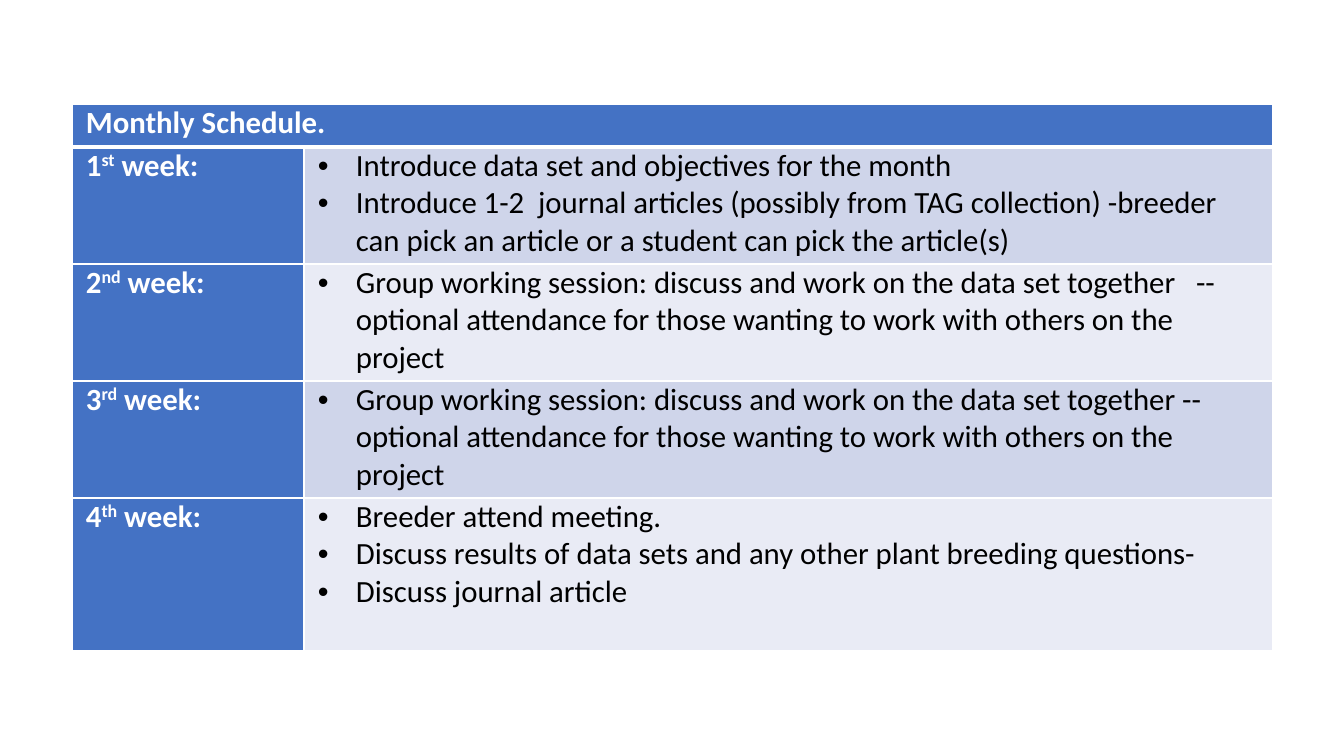
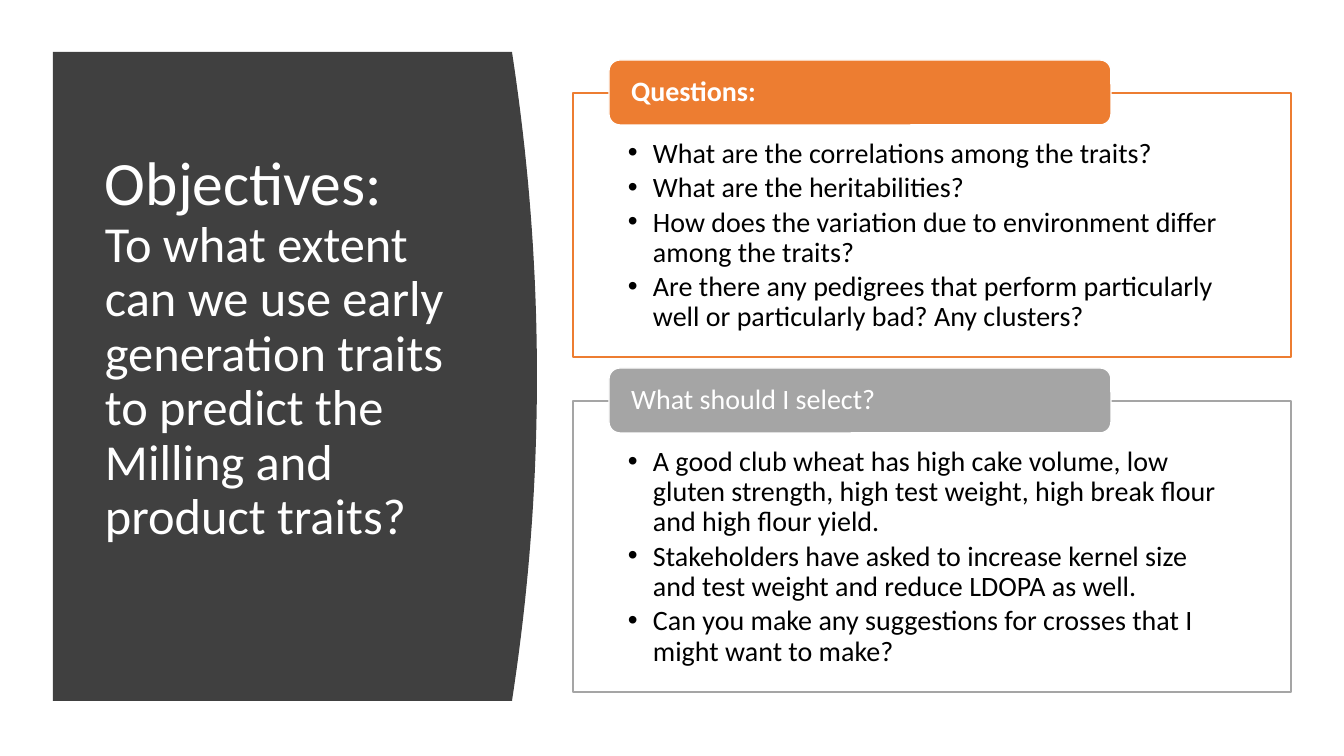
from lxml.etree import SubElement
from pptx import Presentation
from pptx.dml.color import RGBColor as RGB
from pptx.enum.shapes import MSO_SHAPE as Kind
from pptx.enum.text import MSO_ANCHOR as Anchor, PP_ALIGN as Align
from pptx.oxml import parse_xml
from pptx.oxml.ns import nsdecls, qn
from pptx.util import Emu, Pt

WHITE = RGB(0xFF, 0xFF, 0xFF)
BLACK = RGB(0, 0, 0)
BLUE = RGB(0x44, 0x72, 0xC4)
BANDS = RGB(0xCF, 0xD5, 0xEA), RGB(0xE9, 0xEB, 0xF5)
DARK = RGB(0x40, 0x40, 0x40)
ORANGE = RGB(0xED, 0x7D, 0x31)
GRAY = RGB(0xA5, 0xA5, 0xA5)
FONT = "Calibri"


def px(n):
    return Emu(round(n * 914400 / 100.8))


def write(frame, paras, size=20, color=BLACK, bold=False, bullet=0, lead=None, after=0):
    """Each paragraph is a string or a list of (text, size or "super") runs."""
    frame.word_wrap = True
    for i, runs in enumerate(paras):
        para = frame.add_paragraph() if i else frame.paragraphs[0]
        para.alignment = Align.LEFT
        para.space_after = Pt(after)
        if lead:
            para.line_spacing = lead
        if bullet:
            ppr = para._p.get_or_add_pPr()
            ppr.set("marL", str(px(bullet)))
            ppr.set("indent", str(-px(bullet)))
            SubElement(ppr, qn("a:buFont")).set("typeface", "Arial")
            SubElement(ppr, qn("a:buChar")).set("char", "•")
        for text, style in [(runs, size)] if isinstance(runs, str) else runs:
            run = para.add_run()
            run.text = text
            font = run.font
            font.name, font.bold = FONT, bold
            font.color.rgb = color
            font.size = Pt(size if style == "super" else style)
            if style == "super":
                font._element.set("baseline", "30000")


class Deck:
    def __init__(self):
        self.prs = Presentation()
        self.prs.slide_width, self.prs.slide_height = px(1344), px(756)

    def page(self):
        self.shapes = self.prs.slides.add_slide(self.prs.slide_layouts[6]).shapes

    def paint(self, shape, fill, line=None):
        shape.shadow.inherit = False
        shape.fill.solid()
        shape.fill.fore_color.rgb = fill
        if line is None:
            shape.line.fill.background()
        else:
            shape.line.color.rgb = line
            shape.line.width = Pt(1)

    def pad(self, frame, left, top, right, bottom, anchor=Anchor.TOP):
        frame.margin_left, frame.margin_top = px(left), px(top)
        frame.margin_right, frame.margin_bottom = px(right), px(bottom)
        frame.vertical_anchor = anchor

    def box(self, kind, spot, fill, line):
        shape = self.shapes.add_shape(kind, *map(px, spot))
        self.paint(shape, fill, line)
        return shape

    def label(self, spot, paras, **fmt):
        frame = self.shapes.add_textbox(*map(px, spot)).text_frame
        self.pad(frame, 10, 5, 10, 5, Anchor.MIDDLE)
        write(frame, paras, **fmt)

    def panel(self, x, y, w, h, bulge):
        """A block whose right side bows out as a parabola."""
        steps = [i / 20 - 1 for i in range(41)]
        curve = [(px(x + w + bulge * (1 - t * t)), px(y + h * (1 + t) / 2)) for t in steps]
        path = self.shapes.build_freeform(px(x), px(y))
        path.add_line_segments(curve + [(px(x), px(y + h))])
        self.paint(path.convert_to_shape(), DARK)

    def card(self, top, high, color, head, points, bold=False):
        frame = self.box(Kind.RECTANGLE, (573, top, 718, high), WHITE, color)
        tint = frame._element.spPr.find(qn("a:solidFill"))[0]
        SubElement(tint, qn("a:alpha")).set("val", "90000")
        self.pad(frame.text_frame, 55, 46, 55, 16)
        write(frame.text_frame, points, bullet=25, lead=0.9, after=3)
        tab = self.box(Kind.ROUNDED_RECTANGLE, (609, top - 33, 502, 65), color, WHITE)
        self.pad(tab.text_frame, 19, 0, 19, 0, Anchor.MIDDLE)
        write(tab.text_frame, [head], color=WHITE, bold=bold, lead=0.9)

    def cell(self, cell, fill, top=1, bottom=1):
        self.pad(cell, 14, 0, 14, 0)
        cell.fill.solid()
        cell.fill.fore_color.rgb = fill
        sides = ("L", 1), ("R", 1), ("T", top), ("B", bottom)
        for i, (side, wide) in enumerate(sides):
            cell._tc.tcPr.insert(i, parse_xml(
                f'<a:ln{side} {nsdecls("a")} w="{Pt(wide)}"><a:solidFill>'
                f'<a:srgbClr val="{WHITE}"/></a:solidFill></a:ln{side}>'))

    def plan(self, x, y, cols, rows, title, weeks):
        spot = map(px, (x, y, sum(cols), sum(rows)))
        grid = self.shapes.add_table(len(rows), len(cols), *spot).table
        grid.first_row = grid.horz_banding = False
        for col, wide in zip(grid.columns, cols):
            col.width = px(wide)
        for row, high in zip(grid.rows, rows):
            row.height = px(high)
        # Title row
        for c in range(len(cols)):
            self.cell(grid.cell(0, c), BLUE, bottom=3)
        grid.cell(0, 0).merge(grid.cell(0, len(cols) - 1))
        write(grid.cell(0, 0).text_frame, [title], size=22, color=WHITE, bold=True)
        # Week rows
        for r, (suffix, tasks) in enumerate(weeks, 1):
            name, body = grid.cell(r, 0), grid.cell(r, 1)
            top = 3 if r == 1 else 1
            self.cell(name, BLUE, top)
            self.cell(body, BANDS[(r - 1) % 2], top)
            week = [(str(r), 22), (suffix, "super"), (" week:", 22)]
            write(name.text_frame, [week], size=22, color=WHITE, bold=True)
            write(body.text_frame, tasks, size=22, bullet=38)


def main():
    deck = Deck()

    # Monthly schedule
    deck.page()
    work = ("Group working session: discuss and work on the data set together{}-- "
            "optional attendance for those wanting to work with others on the project")
    deck.plan(72, 104, (232, 969), (43, 117, 117, 117, 153), "Monthly Schedule.", [
        ("st", ["Introduce data set and objectives for the month",
                "Introduce 1-2  journal articles (possibly from TAG collection) -breeder "
                "can pick an article or a student can pick the article(s)"]),
        ("nd", [work.format("   ")]),
        ("rd", [work.format(" ")]),
        ("th", ["Breeder attend meeting.",
                "Discuss results of data sets and any other plant breeding questions-",
                "Discuss journal article"]),
    ])

    # Objectives
    deck.page()
    deck.panel(53, 52, 459, 649, 25)
    deck.label((95, 85, 377, 528), [
        [("Objectives:", 44)],
        "To what extent can we use early generation traits to predict the "
        "Milling and product traits?",
    ], size=36, color=WHITE, lead=0.9)
    deck.card(93, 264, ORANGE, "Questions:", [
        "What are the correlations among the traits?",
        "What are the heritabilities?",
        "How does the variation due to environment differ among the traits?",
        "Are there any pedigrees that perform particularly well or particularly bad? "
        "Any clusters?",
    ], bold=True)
    deck.card(401, 291, GRAY, "What should I select?", [
        "A good club wheat has high cake volume, low gluten strength, high test weight, "
        "high break flour and high flour yield.",
        "Stakeholders have asked to increase kernel size and test weight and reduce "
        "LDOPA as well.",
        "Can you make any suggestions for crosses that I might want to make?",
    ])

    deck.prs.save("out.pptx")


if __name__ == "__main__":
    main()
